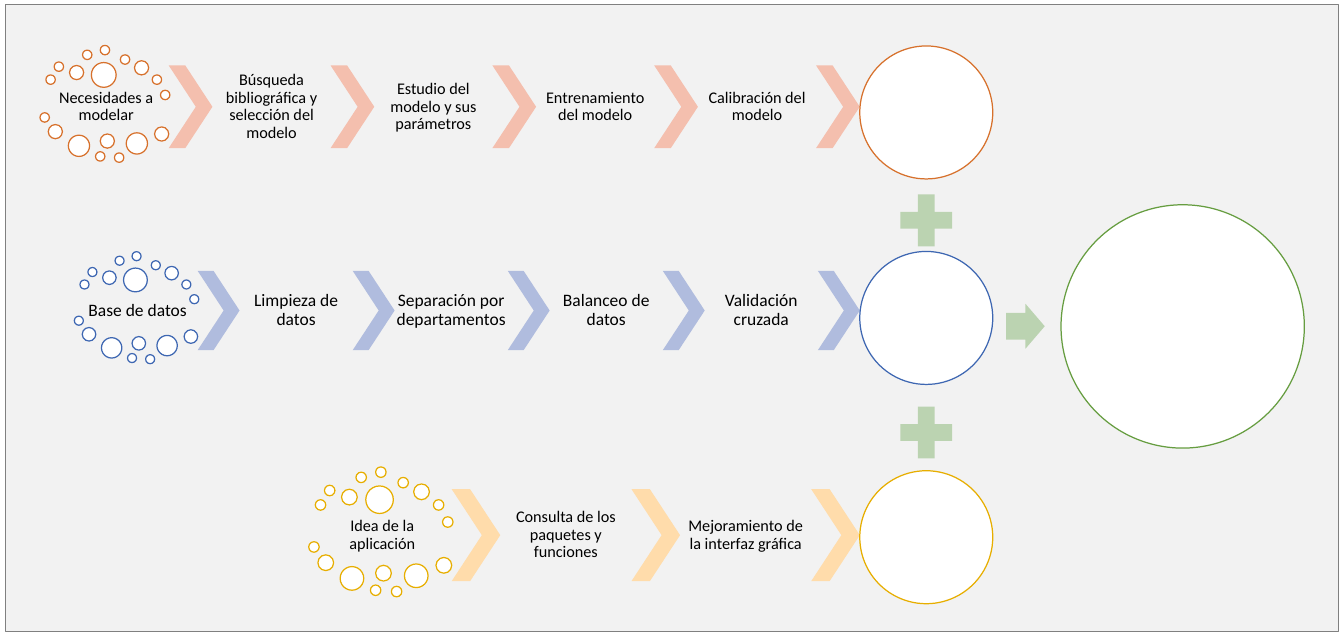
from pptx import Presentation
from pptx.dml.color import RGBColor
from pptx.enum.shapes import MSO_SHAPE
from pptx.enum.text import MSO_ANCHOR, PP_ALIGN
from pptx.util import Cm, Pt

RECTANGLE, OVAL = MSO_SHAPE.RECTANGLE, MSO_SHAPE.OVAL
CHEVRON, PLUS, ARROW = MSO_SHAPE.CHEVRON, MSO_SHAPE.MATH_PLUS, MSO_SHAPE.RIGHT_ARROW
MIDDLE, CENTER = MSO_ANCHOR.MIDDLE, PP_ALIGN.CENTER

WHITE, GREEN, PALE_GREEN = "FFFFFF", "669D40", "BBD3B1"

# All rows end at the left edge of the result circles (cm)
ROW_END = 24.31
RESULT_SIZE = 3.76
RESULT_CENTER = ROW_END + RESULT_SIZE / 2

# Proportions of a row, relative to the width of its labels
CHEVRON_WIDTH, CHEVRON_HEIGHT = 0.37, 0.7
START_GAP, START_HEIGHT = 0.03, 0.33

# Bubble diameters and centres (x from the label's left, y from its middle)
TINY, SMALL, LARGE, LARGEST = 0.08, 0.12, 0.18, 0.21
BUBBLES = [
    (0.03, -0.23, TINY), (0.10, -0.34, TINY), (0.25, -0.29, SMALL),
    (0.34, -0.44, TINY), (0.49, -0.48, TINY), (0.66, -0.40, TINY),
    (0.80, -0.33, SMALL), (0.93, -0.23, TINY), (1.00, -0.10, TINY),
    (0.48, -0.27, LARGEST), (-0.02, 0.09, TINY), (0.07, 0.21, SMALL),
    (0.27, 0.33, LARGE), (0.45, 0.42, TINY), (0.51, 0.29, SMALL),
    (0.61, 0.43, TINY), (0.76, 0.31, LARGE), (0.97, 0.23, SMALL),
]

# Label width, middle, top of result circle, font size, line, chevron fill, labels
ROWS = [
    (3.71, 15.13, 13.31, 13, "E7AE00", "FFDCAB",
     ["Idea de la aplicación", "Consulta de los paquetes y funciones",
      "Mejoramiento de la interfaz gráfica"]),
    (3.34, 3.02, 1.3, 13, "D7712C", "F4BFAE",
     ["Necesidades a modelar", "Búsqueda bibliográfica y selección del modelo",
      "Estudio del modelo y sus parámetros", "Entrenamiento del modelo",
      "Calibración del modelo"]),
    (3.2, 8.78, 7.11, 14, "3E67B2", "B0BCDE",
     ["Base de datos", "Limpieza de datos", "Separación por departamentos",
      "Balanceo de datos", "Validación cruzada"]),
]


def color(code):
    return RGBColor.from_string(code)


def add_figure(page, kind, left, top, width, height, fill, line=None):
    figure = page.shapes.add_shape(kind, Cm(left), Cm(top), Cm(width), Cm(height))
    figure.shadow.inherit = False
    figure.fill.solid()
    figure.fill.fore_color.rgb = color(fill)
    if line:
        figure.line.color.rgb = color(line)
        figure.line.width = Pt(1)
    else:
        figure.line.fill.background()
    return figure


def add_circle(page, center_x, center_y, size, line):
    add_figure(page, OVAL, center_x - size / 2, center_y - size / 2,
               size, size, WHITE, line)


def add_label(page, text, left, middle, width, height, size):
    box = page.shapes.add_textbox(Cm(left), Cm(middle - height / 2),
                                  Cm(width), Cm(height))
    frame = box.text_frame
    frame.word_wrap = True
    frame.vertical_anchor = MIDDLE
    frame.margin_left = frame.margin_right = Cm(0.05)
    frame.margin_top = frame.margin_bottom = Cm(0.05)
    para = frame.paragraphs[0]
    para.text = text
    para.alignment = CENTER
    para.line_spacing = 0.9
    para.font.name = "Calibri"
    para.font.size = Pt(size)
    para.font.color.rgb = color("000000")


def add_row(page, width, middle, result_top, size, line, fill, labels):
    chevron, height = CHEVRON_WIDTH * width, CHEVRON_HEIGHT * width
    pitch = width + chevron
    first = ROW_END - chevron - (len(labels) - 1) * pitch

    # Starting idea among bubbles
    start = first - (1 + START_GAP) * width
    add_label(page, labels[0], start, middle, width, START_HEIGHT * width, size)
    for x, y, diameter in BUBBLES:
        add_circle(page, start + x * width, middle + y * width,
                   diameter * width, line)

    # A chevron after each label
    for index in range(len(labels)):
        left = first + index * pitch
        arrow = add_figure(page, CHEVRON, left, middle - height / 2,
                           chevron, height, fill)
        arrow.adjustments[0] = 0.62
        if index + 1 < len(labels):
            add_label(page, labels[index + 1], left + chevron, middle,
                      width, height, size)

    # Result of the row
    add_circle(page, RESULT_CENTER, result_top + RESULT_SIZE / 2, RESULT_SIZE, line)


def main():
    deck = Presentation()
    deck.slide_width, deck.slide_height = Cm(38), Cm(18.01)
    page = deck.slides.add_slide(deck.slide_layouts[6])

    # Background panel
    add_figure(page, RECTANGLE, 0.15, 0.13, 37.69, 17.73, "F2F2F2", "808080")

    # Sum of the three results
    for top in (5.23, 11.23):
        add_figure(page, PLUS, RESULT_CENTER - 1, top, 2, 2, PALE_GREEN)
    arrow = add_figure(page, ARROW, 28.45, 8.59, 1.09, 1.27, PALE_GREEN)
    arrow.adjustments[0] = 0.6
    add_circle(page, 33.44, 9.23, 6.88, GREEN)

    # Process rows
    for row in ROWS:
        add_row(page, *row)

    deck.save("out.pptx")


if __name__ == "__main__":
    main()
